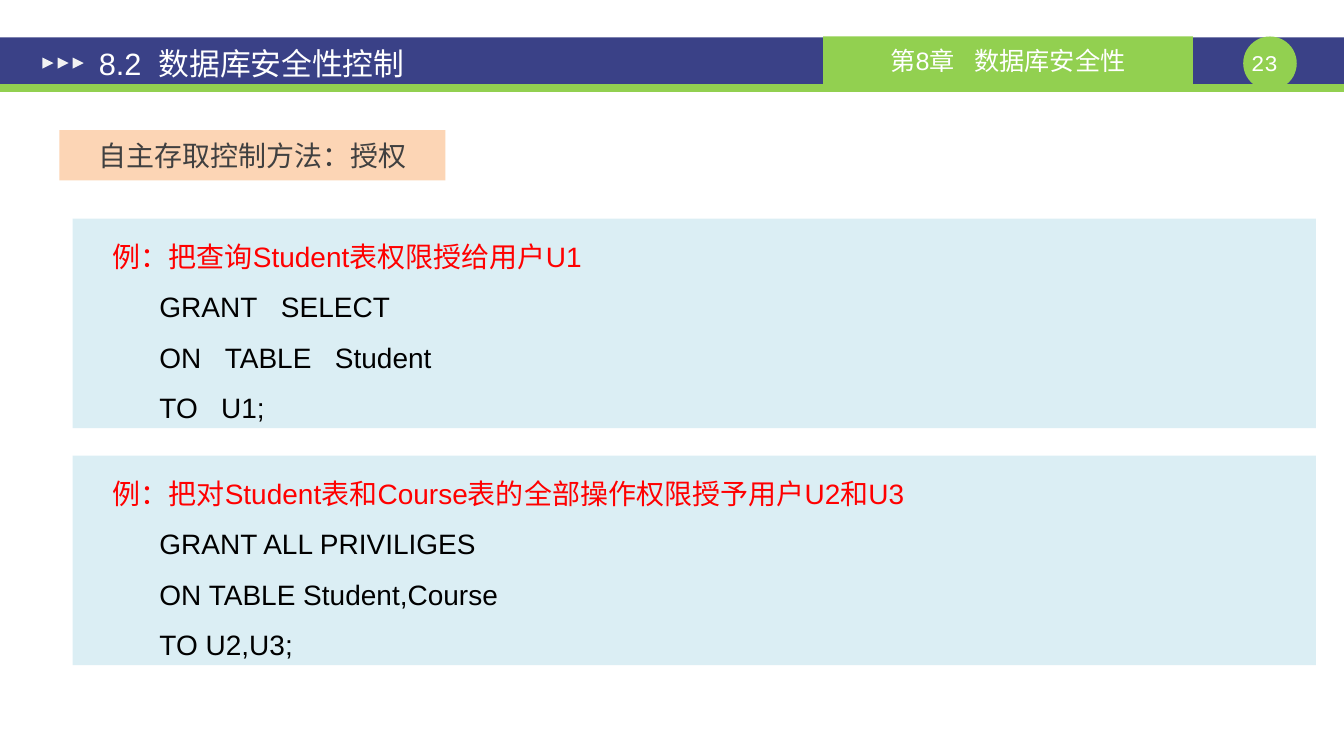
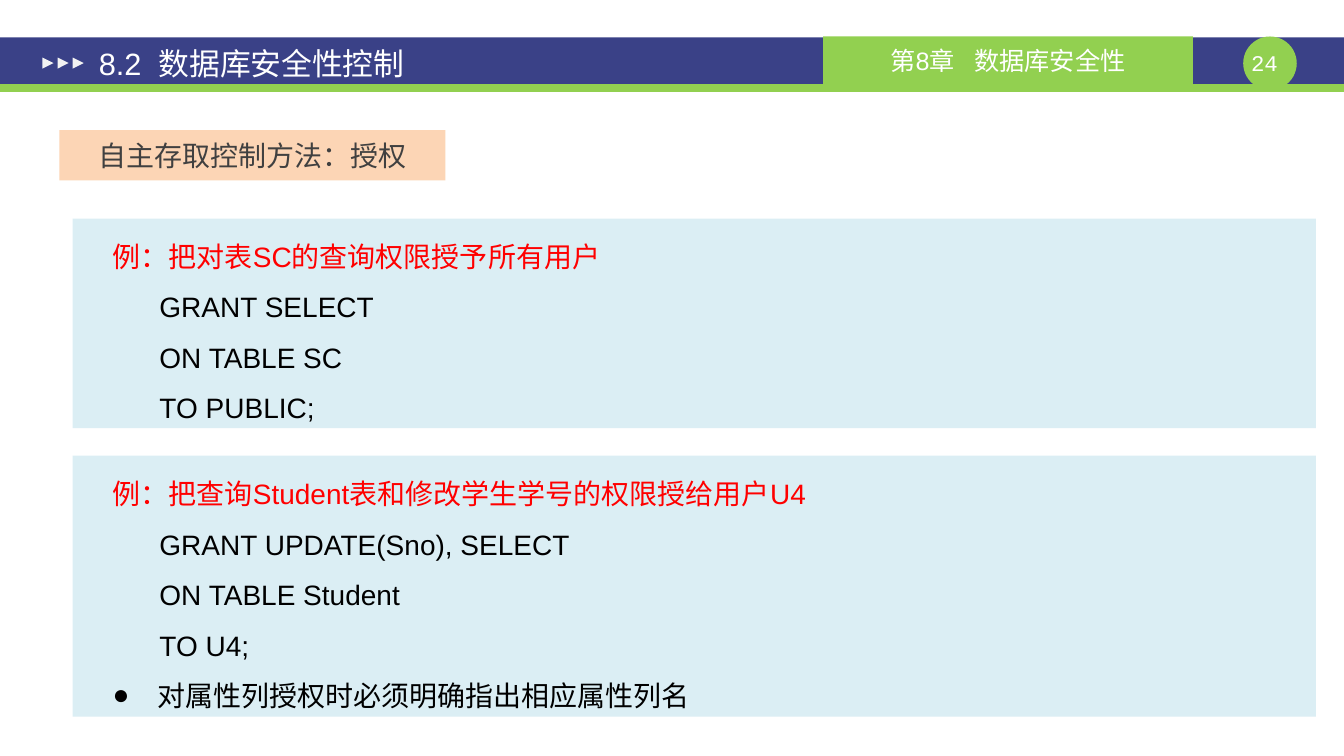
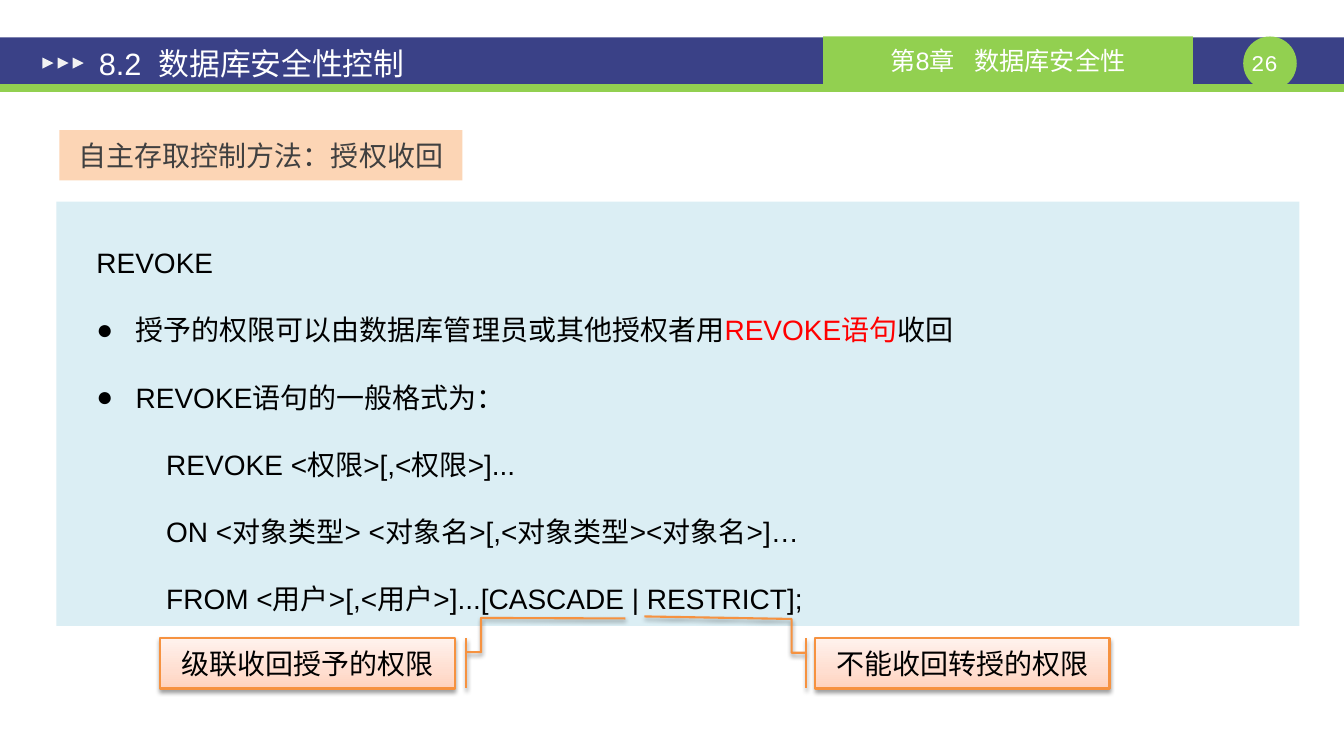
"""Build three lecture slides on granting and revoking database privileges."""
from dataclasses import dataclass

from lxml import etree
from pptx import Presentation, util as u
from pptx.dml import color
from pptx.enum import shapes, text
from pptx.oxml import ns


@dataclass(frozen=True)
class Theme:
    """Colours, fonts and type sizes of the lecture."""
    navy: str = "3A4187"
    green: str = "92D050"
    white: str = "FFFFFF"
    arrow: str = "F2F2F2"
    peach: str = "FCD5B5"
    label: str = "404040"
    panel: str = "DBEEF4"
    ink: str = "000000"
    red: str = "FF0000"
    orange: str = "F69240"
    blush: tuple = ((0, "FFD2BD"), (35, "FFDED0"), (100, "FFF2ED"))
    font: str = "Arial"
    number_font: str = "Courier New"
    title: int = 22
    body: int = 20
    chapter: int = 18
    number: int = 16


T = Theme()
SHAPE = shapes.MSO_SHAPE
ALIGN = text.PP_ALIGN

TITLE = "8.2 数据库安全性控制"
CHAPTER = "第8章 数据库安全性"
PANEL_LEFT, PANEL_WIDTH = 1.83, 31.34
UPPER, LOWER = 5.51, 11.48
EXAMPLE_HEIGHT, NOTED_HEIGHT = 5.28, 6.58

INDENTS = {
    "lead": (0.76, 0),
    "code": (1.94, 0),
    "note": (1.88, -1.12),
    "point": (1.75, -0.99),
    "syntax": (2.52, 0),
}
BULLETED = {"note", "point"}


def example(task, *statement, note=None):
    """List the paragraphs of one worked example."""
    lines = [("lead", [(task, T.red)])]
    lines += [("code", [(line, T.ink)]) for line in statement]
    return lines + ([("note", [(note, T.ink)])] if note else [])


REVOKE_RULES = [
    ("lead", [("REVOKE", T.ink)]),
    ("point", [("授予的权限可以由数据库管理员或其他授权者用", T.ink),
               ("REVOKE语句", T.red), ("收回", T.ink)]),
    ("point", [("REVOKE语句的一般格式为：", T.ink)]),
    ("syntax", [("REVOKE <权限>[,<权限>]...", T.ink)]),
    ("syntax", [("ON <对象类型> <对象名>[,<对象类型><对象名>]…", T.ink)]),
    ("syntax", [("FROM <用户>[,<用户>]...[CASCADE | RESTRICT];", T.ink)]),
]

SLIDES = [
    {"number": "23", "label": ("自主存取控制方法：授权", 9.73), "panels": [
        {"at": (PANEL_LEFT, UPPER, PANEL_WIDTH, EXAMPLE_HEIGHT), "code_gap": 11.1,
         "lines": example("例：把查询Student表权限授给用户U1",
                          "GRANT SELECT", "ON TABLE Student", "TO U1;")},
        {"at": (PANEL_LEFT, LOWER, PANEL_WIDTH, EXAMPLE_HEIGHT),
         "lines": example("例：把对Student表和Course表的全部操作权限授予用户U2和U3",
                          "GRANT ALL PRIVILIGES", "ON TABLE Student,Course",
                          "TO U2,U3;")},
    ]},
    {"number": "24", "label": ("自主存取控制方法：授权", 9.73), "panels": [
        {"at": (PANEL_LEFT, UPPER, PANEL_WIDTH, EXAMPLE_HEIGHT),
         "lines": example("例：把对表SC的查询权限授予所有用户",
                          "GRANT SELECT", "ON TABLE SC", "TO PUBLIC;")},
        {"at": (PANEL_LEFT, LOWER, PANEL_WIDTH, NOTED_HEIGHT),
         "lines": example("例：把查询Student表和修改学生学号的权限授给用户U4",
                          "GRANT UPDATE(Sno), SELECT", "ON TABLE Student",
                          "TO U4;", note="对属性列授权时必须明确指出相应属性列名")},
    ]},
    {"number": "26", "label": ("自主存取控制方法：授权收回", 10.16), "panels": [
        {"at": (1.42, 5.08, PANEL_WIDTH, 10.69), "spacing": 2,
         "lines": REVOKE_RULES},
    ], "callouts": [
        ("级联收回授予的权限", 4.04,
         (0.28, 1.04, 0.28, 1.09, -0.4, 1.09, -0.39, 1.58)),
        ("不能收回转授的权限", 20.55,
         (0.29, -0.03, 0.29, -0.08, -0.38, -0.08, -0.43, -0.58)),
    ]},
]


def rgb(value):
    return color.RGBColor.from_string(value)


def cm(*lengths):
    return [u.Cm(length) for length in lengths]


def add_child(parent, tag, **attributes):
    return etree.SubElement(parent, ns.qn(tag), attributes)


def write(paragraph, words, ink, size=T.body, font=T.font, gap=0):
    """Add words as runs, widening each space by gap points."""
    first, *rest = words.split(" ") if gap else [words]
    pieces = [first] + [piece for word in rest for piece in (" ", word)]
    for piece in pieces:
        run = paragraph.add_run()
        run.text = piece
        run.font.size, run.font.name = u.Pt(size), font
        run.font.bold = False
        run.font.color.rgb = rgb(ink)
        if gap and piece == " ":
            run.font._element.set("spc", str(round(gap * 100)))


def set_frame(frame, *insets):
    """Wrap and centre a text frame vertically, with insets if given."""
    frame.word_wrap = True
    frame.vertical_anchor = text.MSO_ANCHOR.MIDDLE
    if insets:
        (frame.margin_left, frame.margin_top,
         frame.margin_right, frame.margin_bottom) = cm(*insets)


def add_block(slide, preset, at, fill):
    """Add a flat shape without outline or shadow."""
    block = slide.shapes.add_shape(preset, *cm(*at))
    block.shadow.inherit = False
    block.fill.solid()
    block.fill.fore_color.rgb = rgb(fill)
    block.line.fill.background()
    set_frame(block.text_frame)
    return block


def add_header(slide, layout):
    """Draw the shared header band and hand it to the layout."""
    header = [add_block(slide, preset, at, fill) for preset, at, fill in (
        (SHAPE.RECTANGLE, (0, 0.94, 33.88, 1.19), T.navy),
        (SHAPE.RECTANGLE, (0, 2.12, 33.88, 0.2), T.green),
        (SHAPE.OVAL, (31.34, 0.92, 1.35, 1.35), T.green),
    )]
    chapter = add_block(slide, SHAPE.RECTANGLE, (20.75, 0.92, 9.32, 1.2), T.green)
    line = chapter.text_frame.paragraphs[0]
    line.alignment = ALIGN.CENTER
    write(line, CHAPTER, T.white, T.chapter, gap=10)
    header.append(chapter)
    for step in range(3):
        arrow = add_block(slide, SHAPE.ISOSCELES_TRIANGLE,
                          (1.07 + 0.38 * step, 1.45, 0.28, 0.28), T.arrow)
        arrow.rotation = 90
        header.append(arrow)
    for part in header:
        layout.shapes.element.append(part.element)


def add_title(slide):
    title = slide.shapes.title
    title.left, title.top, title.width, title.height = cm(2.16, 0.99, 14.81, 1.19)
    set_frame(title.text_frame, 0.33, 0.18, 0.33, 0.18)
    title.text_frame.auto_size = text.MSO_AUTO_SIZE.NONE
    line = title.text_frame.paragraphs[0]
    line.alignment = ALIGN.LEFT
    write(line, TITLE, T.white, T.title, gap=6.1)


def add_number(slide, number):
    page = slide.shapes.add_textbox(*cm(31.34, 1.22, 1.35, 0.69))
    set_frame(page.text_frame, 0, 0, 0.28, 0)
    line = page.text_frame.paragraphs[0]
    line.alignment = ALIGN.CENTER
    write(line, number, T.white, T.number, T.number_font)


def add_label(slide, words, width):
    label = add_block(slide, SHAPE.RECTANGLE, (1.5, 3.28, width, 1.27), T.peach)
    set_frame(label.text_frame, 0.33, 0.18, 0.33, 0.18)
    line = label.text_frame.paragraphs[0]
    line.alignment = ALIGN.CENTER
    write(line, words, T.label)


def add_panel(slide, at, lines, spacing=1.5, code_gap=0):
    """Add a pale panel of indented paragraphs."""
    frame = add_block(slide, SHAPE.RECTANGLE, at, T.panel).text_frame
    for index, (style, runs) in enumerate(lines):
        line = frame.add_paragraph() if index else frame.paragraphs[0]
        line.alignment, line.line_spacing = ALIGN.JUSTIFY, spacing
        properties = line._p.get_or_add_pPr()
        for name, length in zip(("marL", "indent"), cm(*INDENTS[style])):
            properties.set(name, str(int(length)))
        if style in BULLETED:
            add_child(properties, "a:buFont", typeface=T.font)
            add_child(properties, "a:buChar", char="●")
        for words, ink in runs:
            write(line, words, ink, gap=code_gap if style == "code" else 0)


def add_callout(slide, words, left, bends):
    """Add a shaded callout whose leader follows the bends."""
    callout = slide.shapes.add_shape(SHAPE.LINE_CALLOUT_4_BORDER_AND_ACCENT_BAR,
                                     *cm(left, 16.08, 7.42, 1.27))
    for index, bend in enumerate(bends):
        callout.adjustments[index] = bend
    callout.fill.gradient()
    callout.fill.gradient_angle = 90
    stops = callout.element.spPr.find(".//" + ns.qn("a:gsLst"))
    for stop in list(stops):
        stops.remove(stop)
    for place, tint in T.blush:
        stop = add_child(stops, "a:gs", pos=str(place * 1000))
        add_child(stop, "a:srgbClr", val=tint)
    callout.line.color.rgb = rgb(T.orange)
    callout.line.width = u.Pt(1.5)
    callout.shadow.inherit = False
    effects = callout.element.spPr.find(ns.qn("a:effectLst"))
    shade = add_child(effects, "a:outerShdw", blurRad="40000", dist="20000",
                      dir="5400000", rotWithShape="0")
    add_child(add_child(shade, "a:srgbClr", val=T.ink), "a:alpha", val="38000")
    set_frame(callout.text_frame)
    line = callout.text_frame.paragraphs[0]
    line.alignment = ALIGN.CENTER
    write(line, words, T.ink)


def main():
    deck = Presentation()
    deck.slide_width, deck.slide_height = cm(33.88, 19.05)
    layout = deck.slide_layouts[5]
    for holder in list(layout.placeholders):
        if holder.placeholder_format.idx:
            layout.shapes.element.remove(holder.element)
    for index, content in enumerate(SLIDES):
        slide = deck.slides.add_slide(layout)
        if index == 0:
            add_header(slide, layout)
        add_title(slide)
        add_number(slide, content["number"])
        add_label(slide, *content["label"])
        for panel in content["panels"]:
            add_panel(slide, **panel)
        for callout in content.get("callouts", []):
            add_callout(slide, *callout)
    deck.save("out.pptx")


if __name__ == "__main__":
    main()
